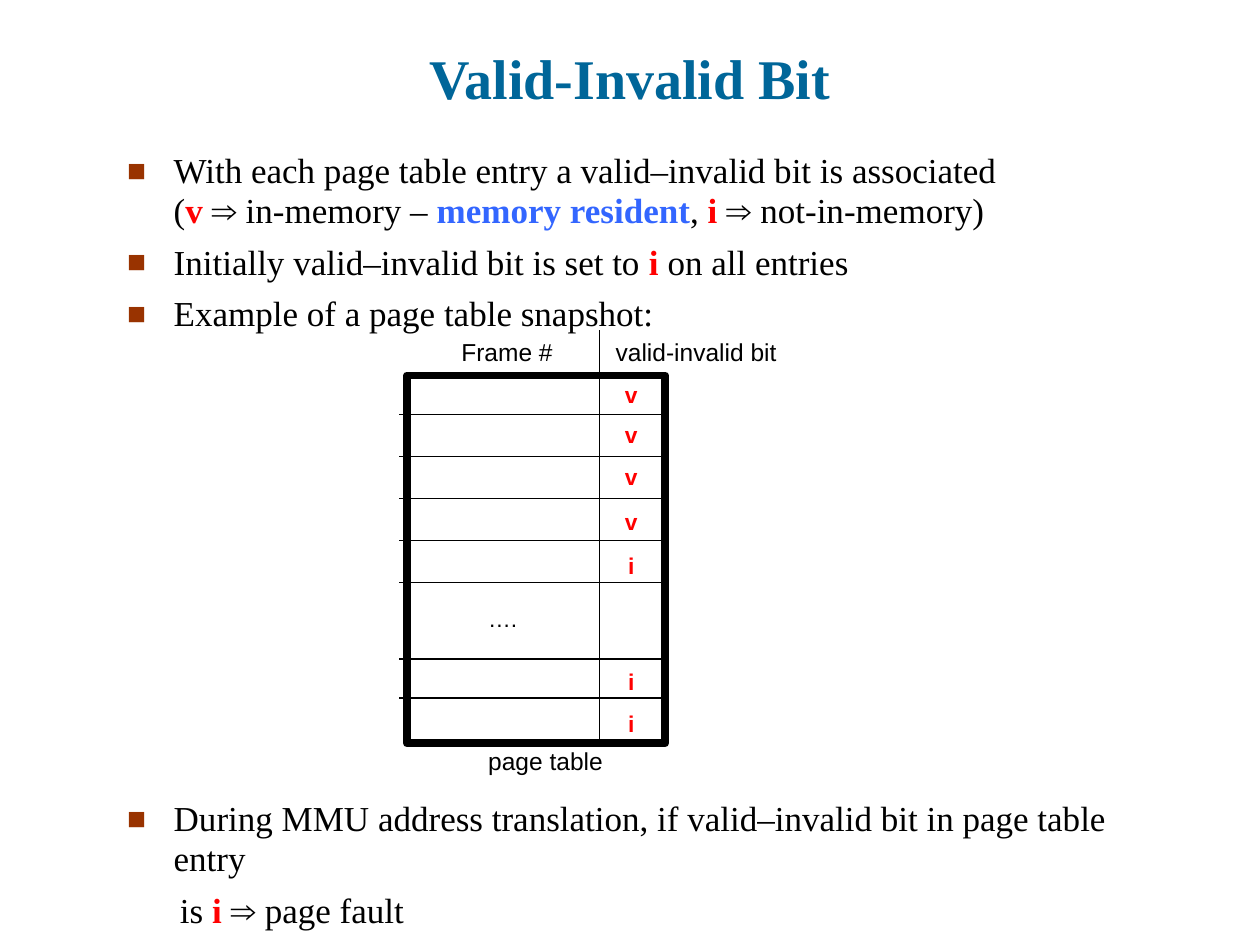
import pptx
import pptx.util
import pptx.dml.color
import pptx.enum.shapes
import pptx.enum.text
import pptx.oxml.ns
from lxml import etree

Inches = pptx.util.Inches
Pt = pptx.util.Pt
ALIGN = pptx.enum.text.PP_ALIGN
ANCHOR = pptx.enum.text.MSO_ANCHOR
qn = pptx.oxml.ns.qn

THEME = {
    "serif": "Times New Roman", "sans": "Arial",
    "title": "006699", "ink": "000000", "flag": "FF0000",
    "term": "3366FF", "mark": "993300", "paper": "FFFFFF",
    "title_pt": 32, "body_pt": 20, "label_pt": 14, "cell_pt": 13,
}

# Content: each run is (text, colour name, bold)
TITLE = "Valid-Invalid Bit"
POINTS = [  # (bullet, space before in points, lines of runs)
    (True, 0, [
        [("With each page table entry a valid–invalid bit is associated", "ink", False)],
        [("(", "ink", False), ("v ", "flag", True), ("⇒ in-memory – ", "ink", False),
         ("memory resident", "term", True), (", ", "ink", False),
         ("i", "flag", True), (" ⇒ not-in-memory)", "ink", False)]]),
    (True, 7, [
        [("Initially valid–invalid bit is set to", "ink", False),
         (" i ", "flag", True), ("on all entries", "ink", False)]]),
    (True, 7, [[("Example of a page table snapshot:", "ink", False)]]),
    (True, 266, [  # leaves room for the page table
        [("During MMU address translation, if valid–invalid bit in page table entry",
          "ink", False)]]),
    (False, 7, [
        [("is", "ink", False), (" i", "flag", True), (" ⇒ page fault", "ink", False)]]),
]
RULES = [3.29 + k / 3 for k in range(5)] + [5.23, 5.54]
BITS = [("v", 2.97), ("v", 3.29), ("v", 3.62), ("v", 3.98),
        ("i", 4.33), ("i", 5.25), ("i", 5.58)]
LABELS = [  # text, left, top, width, height, size name
    ("….", 3.77, 4.75, 0.44, 0.32, "cell_pt"),
    ("Frame #", 3.56, 2.62, 0.93, 0.34, "label_pt"),
    ("valid-invalid bit", 4.78, 2.62, 1.49, 0.34, "label_pt"),
    ("page table", 3.77, 5.87, 1.12, 0.34, "label_pt"),
]


def color(name):
    return pptx.dml.color.RGBColor.from_string(THEME[name])


def add_run(para, text, size, face, tint, bold=False):
    run = para.add_run()
    run.text = text
    run.font.size = Pt(THEME[size])
    run.font.name = THEME[face]
    run.font.bold = bold
    run.font.color.rgb = color(tint)


def add_box(slide, left, top, width, height, anchor, wrap=True):
    box = slide.shapes.add_textbox(
        Inches(left), Inches(top), Inches(width), Inches(height))
    frame = box.text_frame
    frame.word_wrap = wrap
    frame.vertical_anchor = anchor
    return frame


def add_label(slide, text, left, top, width, height, size, tint="ink", bold=False):
    frame = add_box(slide, left, top, width, height, ANCHOR.MIDDLE, wrap=False)
    frame.auto_size = pptx.enum.text.MSO_AUTO_SIZE.SHAPE_TO_FIT_TEXT
    para = frame.paragraphs[0]
    para.alignment = ALIGN.CENTER
    add_run(para, text, size, "sans", tint, bold)


def set_bullet(para, shown):
    props = para._p.get_or_add_pPr()
    left, hang = (0.37, -0.37) if shown else (0.42, 0)
    props.set("marL", str(Inches(left)))
    props.set("indent", str(Inches(hang)))
    if not shown:
        etree.SubElement(props, qn("a:buNone"))
        return
    tint = etree.SubElement(props, qn("a:buClr"))
    etree.SubElement(tint, qn("a:srgbClr"), val=THEME["mark"])
    etree.SubElement(props, qn("a:buSzPct"), val="90000")
    etree.SubElement(props, qn("a:buFont"), typeface=THEME["sans"])
    etree.SubElement(props, qn("a:buChar"), char="■")


def add_rule(slide, x1, y1, x2, y2):
    rule = slide.shapes.add_connector(
        pptx.enum.shapes.MSO_CONNECTOR.STRAIGHT,
        Inches(x1), Inches(y1), Inches(x2), Inches(y2))
    rule.line.color.rgb = color("ink")
    rule.line.width = Pt(0.75)
    etree.SubElement(rule._element.spPr, qn("a:effectLst"))


def add_points(slide):
    frame = add_box(slide, 0.91, 1.16, 8.51, 5.98, ANCHOR.TOP)
    for k, (shown, gap, lines) in enumerate(POINTS):
        para = frame.add_paragraph() if k else frame.paragraphs[0]
        set_bullet(para, shown)
        para.line_spacing = 0.94
        if gap:
            para.space_before = Pt(gap)
        for row, runs in enumerate(lines):
            if row:
                para.add_line_break()
            for text, tint, bold in runs:
                add_run(para, text, "body_pt", "serif", tint, bold)


def add_grid(slide):
    # Outer frame
    rect = slide.shapes.add_shape(
        pptx.enum.shapes.MSO_SHAPE.RECTANGLE,
        Inches(3.23), Inches(2.98), Inches(2.05), Inches(2.92))
    rect.shadow.inherit = False
    rect.fill.solid()
    rect.fill.fore_color.rgb = color("paper")
    rect.line.color.rgb = color("ink")
    rect.line.width = Pt(4.5)

    # Row rules and column rule
    for y in RULES:
        add_rule(slide, 3.17, y, 5.26, y)
    add_rule(slide, 4.76, 2.62, 4.76, 5.87)

    # Bits, centred in the right column
    for bit, top in BITS:
        width = 0.3 if bit == "v" else 0.25
        add_label(slide, bit, 5.01 - width / 2, top, width, 0.32,
                  "cell_pt", "flag", True)
    for label in LABELS:
        add_label(slide, *label)


def main():
    deck = pptx.Presentation()
    deck.slide_width, deck.slide_height = Inches(10), Inches(7.5)
    slide = deck.slides.add_slide(deck.slide_layouts[6])

    # Title
    para = add_box(slide, 0.5, 0.3, 9, 0.63, ANCHOR.BOTTOM).paragraphs[0]
    para.alignment = ALIGN.CENTER
    add_run(para, TITLE, "title_pt", "serif", "title", True)

    # Bullets, then the page table in the gap
    add_points(slide)
    add_grid(slide)
    deck.save("out.pptx")


if __name__ == "__main__":
    main()
